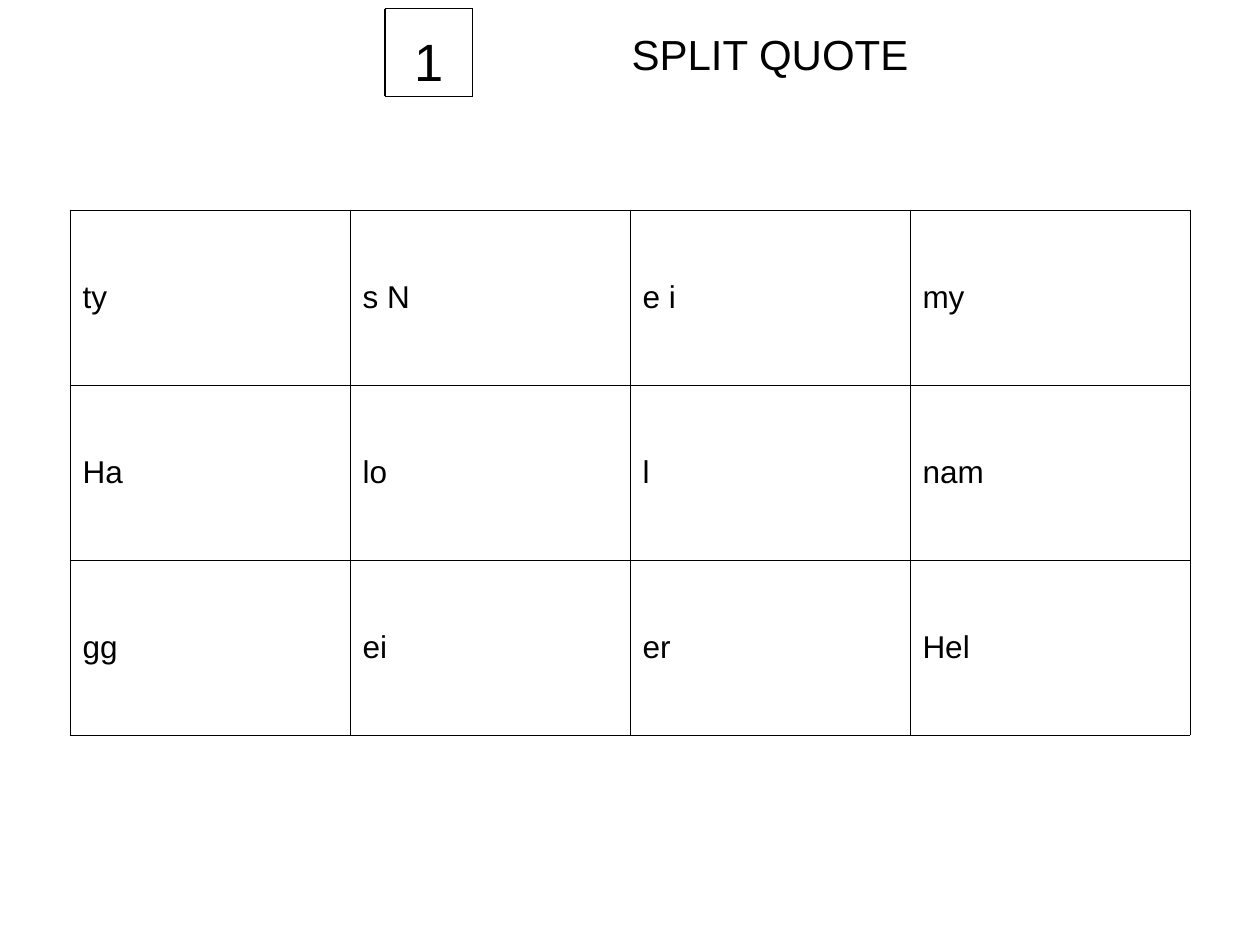
from dataclasses import dataclass
from typing import Any

from lxml.etree import SubElement
from pptx import Presentation
from pptx.dml.color import RGBColor
from pptx.enum.shapes import MSO_CONNECTOR as Connector
from pptx.enum.text import MSO_ANCHOR as Anchor, MSO_AUTO_SIZE as AutoSize, PP_ALIGN as Align
from pptx.oxml.ns import qn
from pptx.util import Pt

BLACK = RGBColor(0, 0, 0)
WHITE = RGBColor(255, 255, 255)
FONT = "Arial"
GRID_LINE = Pt(0.34)
PIECES = (
    ("ty", "s N", "e i", "my"),
    ("Ha", "lo", "l", "nam"),
    ("gg", "ei", "er", "Hel"),
)


@dataclass(frozen=True)
class Area:
    left: float
    top: float
    width: float
    height: float

    def lengths(self) -> tuple[Pt, Pt, Pt, Pt]:
        return Pt(self.left), Pt(self.top), Pt(self.width), Pt(self.height)


TITLE = Area(240, 10, 400, 200)
GRID = Area(40, 120, 640, 300)
NUMBER = Area(220, 10, 50, 30)
FRAME = Area(220, 5, 50, 50)


def apply(target: Any, values: dict[str, Any]) -> None:
    for name, value in values.items():
        setattr(target, name, value)


def write(frame: Any, text: str, size: float, align: Align) -> None:
    para = frame.paragraphs[0]
    para.alignment = align
    span = para.add_run()
    span.text = text
    apply(span.font, {"name": FONT, "size": Pt(size)})
    span.font.color.rgb = BLACK


def write_heading(box: Any, text: str, size: float, margin_top: float) -> None:
    apply(box.text_frame, {
        "word_wrap": True,
        "auto_size": AutoSize.NONE,
        "vertical_anchor": Anchor.TOP,
        "margin_left": Pt(7.2),
        "margin_right": Pt(7.2),
        "margin_top": Pt(margin_top),
        "margin_bottom": Pt(3.6),
    })
    write(box.text_frame, text, size, Align.CENTER)


def border_cell(cell: Any) -> None:
    properties = cell._tc.get_or_add_tcPr()
    for position, side in enumerate(("lnL", "lnR", "lnT", "lnB")):
        line = SubElement(properties, qn(f"a:{side}"), w=str(int(GRID_LINE)))
        fill = SubElement(line, qn("a:solidFill"))
        SubElement(fill, qn("a:srgbClr"), val=str(BLACK))
        properties.insert(position, line)


def draw_grid(page: Any, area: Area) -> None:
    rows, columns = len(PIECES), len(PIECES[0])
    table = page.shapes.add_table(rows, columns, *area.lengths()).table
    apply(table, {"first_row": False, "horz_banding": False})
    for column in table.columns:
        column.width = Pt(area.width / columns)
    for row, texts in zip(table.rows, PIECES):
        row.height = Pt(area.height / rows)
        for cell, text in zip(row.cells, texts):
            cell.vertical_anchor = Anchor.MIDDLE
            cell.fill.solid()
            cell.fill.fore_color.rgb = WHITE
            write(cell.text_frame, text, 18, Align.LEFT)
            border_cell(cell)


def draw_frame(page: Any, area: Area) -> None:
    left, top = area.left, area.top
    right, bottom = left + area.width, top + area.height
    edges = (
        (left, top, right, top),
        (right, top, right, bottom),
        (left, bottom, right, bottom),
        (left, top, left, bottom),
    )
    for edge in edges:
        line = page.shapes.add_connector(Connector.STRAIGHT, *map(Pt, edge))
        line.line.width = Pt(0.75)
        line.line.color.rgb = BLACK
        SubElement(line._element.spPr, qn("a:effectLst"))


def main() -> None:
    deck = Presentation()
    apply(deck, {"slide_width": Pt(720), "slide_height": Pt(540)})
    page = deck.slides.add_slide(deck.slide_layouts[5])
    title = page.shapes.title
    apply(title, dict(zip(("left", "top", "width", "height"), TITLE.lengths())))
    write_heading(title, "SPLIT QUOTE", 24, 6)
    draw_grid(page, GRID)
    write_heading(page.shapes.add_textbox(*NUMBER.lengths()), "1", 30, 6.8)
    draw_frame(page, FRAME)
    deck.save("out.pptx")


if __name__ == "__main__":
    main()
